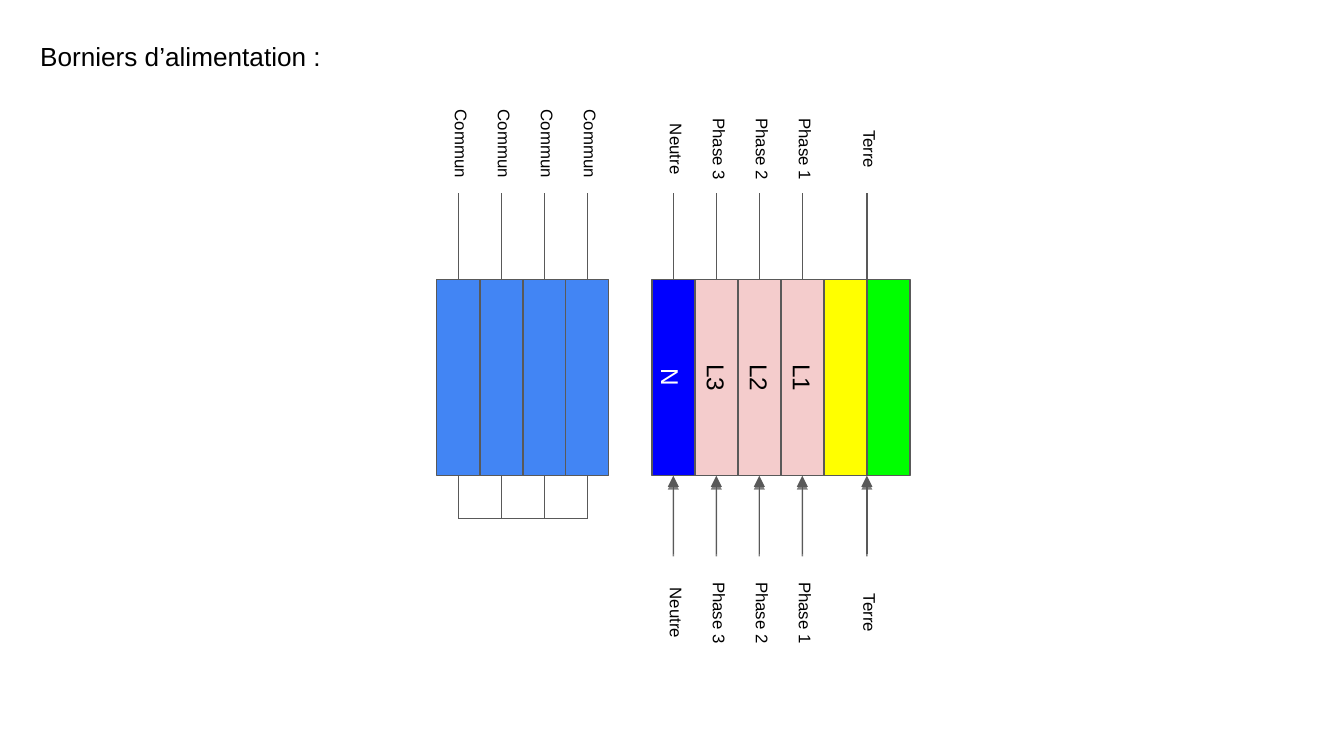
from lxml import etree
from pptx import Presentation
from pptx.dml.color import RGBColor
from pptx.enum import shapes, text
from pptx.oxml import ns
from pptx.util import Inches, Pt

BLACK = RGBColor(0x00, 0x00, 0x00)
WHITE = RGBColor(0xFF, 0xFF, 0xFF)
GREY = RGBColor(0x59, 0x59, 0x59)
COMMON_BLUE = RGBColor(0x42, 0x85, 0xF4)
NEUTRAL_BLUE = RGBColor(0x00, 0x00, 0xFF)
PHASE_PINK = RGBColor(0xF4, 0xCC, 0xCC)
EARTH_YELLOW = RGBColor(0xFF, 0xFF, 0x00)
EARTH_GREEN = RGBColor(0x00, 0xFF, 0x00)

# Terminal geometry, in inches
WIDTH, HEIGHT = 0.32, 1.46
TOP = 2.08
BOTTOM = TOP + HEIGHT
WIRE_TOP = 1.44
BRIDGE_Y = 3.86
ARROW_START = 4.12
COMMON_LEFT, SUPPLY_LEFT = 3.25, 4.85


def add_text(slide, content, left, top, width, height, size, color=BLACK):
    sp = slide.shapes.add_textbox(Inches(left), Inches(top), Inches(width), Inches(height))
    tf = sp.text_frame
    tf.word_wrap = True
    tf.margin_left = tf.margin_right = tf.margin_top = tf.margin_bottom = Inches(0.1)
    p = tf.paragraphs[0]
    p.text = content
    font = p.runs[0].font
    font.name, font.size, font.color.rgb = "Arial", Pt(size), color
    return sp


def add_turned_text(slide, content, x, y, width, height, size, color=BLACK):
    """Text centred on (x, y) that reads downwards."""
    sp = add_text(slide, content, x - width / 2, y - height / 2, width, height, size, color)
    sp.rotation = 90
    sp.text_frame.paragraphs[0].alignment = text.PP_ALIGN.CENTER


def add_label(slide, content, x, y):
    add_turned_text(slide, content, x, y, 0.71, 0.35, 9)


def add_terminal(slide, left, color):
    sp = slide.shapes.add_shape(shapes.MSO_SHAPE.RECTANGLE, Inches(left), Inches(TOP),
                                Inches(WIDTH), Inches(HEIGHT))
    sp.shadow.inherit = False
    sp.fill.solid()
    sp.fill.fore_color.rgb = color
    sp.line.color.rgb = GREY
    sp.line.width = Pt(0.75)


def add_wire(slide, x1, y1, x2, y2, arrow=False):
    line = slide.shapes.add_connector(shapes.MSO_CONNECTOR.STRAIGHT, Inches(x1), Inches(y1),
                                      Inches(x2), Inches(y2))
    line.line.color.rgb = GREY
    line.line.width = Pt(0.75)
    sp_pr = line._element.spPr
    effects = etree.SubElement(sp_pr, ns.qn("a:effectLst"))
    if arrow:
        etree.SubElement(sp_pr.find(ns.qn("a:ln")), ns.qn("a:tailEnd"), type="triangle")
        shadow = etree.SubElement(effects, ns.qn("a:outerShdw"), blurRad="0",
                                  dist=str(Pt(1.5)), dir="5400000", algn="bl", rotWithShape="0")
        shade = etree.SubElement(shadow, ns.qn("a:srgbClr"), val=str(BLACK))
        etree.SubElement(shade, ns.qn("a:alpha"), val="50000")


def add_common_block(slide):
    centres = [COMMON_LEFT + (i + 0.5) * WIDTH for i in range(4)]
    for x in centres:
        add_terminal(slide, x - WIDTH / 2, COMMON_BLUE)
        add_wire(slide, x, TOP, x, WIRE_TOP)
        add_wire(slide, x, BRIDGE_Y, x, BOTTOM)
        add_label(slide, "Commun", x, 1.07)
    # Bridge between the commons
    add_wire(slide, centres[-1], BRIDGE_Y, centres[0], BRIDGE_Y)


def add_supply_wires(slide, name, x):
    add_wire(slide, x, TOP, x, WIRE_TOP)
    add_wire(slide, x, ARROW_START, x, BOTTOM, arrow=True)
    for y in (1.11, 4.56):
        add_label(slide, name, x, y)


def add_supply_block(slide):
    # Neutral and phases: mark, its shift, name, fill, text colour
    poles = [("N", -0.02, "Neutre", NEUTRAL_BLUE, WHITE)]
    poles += [(f"L{n}", 0, f"Phase {n}", PHASE_PINK, BLACK) for n in (3, 2, 1)]
    for i, (mark, shift, name, fill, color) in enumerate(poles):
        left = SUPPLY_LEFT + i * WIDTH
        x = left + WIDTH / 2
        add_terminal(slide, left, fill)
        add_supply_wires(slide, name, x)
        add_turned_text(slide, mark, x + shift, TOP + HEIGHT / 2, 0.67, 0.42, 13, color)

    # Earth: two halves sharing one wire
    earth_left = SUPPLY_LEFT + len(poles) * WIDTH
    add_terminal(slide, earth_left, EARTH_YELLOW)
    add_terminal(slide, earth_left + WIDTH, EARTH_GREEN)
    add_supply_wires(slide, "Terre", earth_left + WIDTH)


def main():
    prs = Presentation()
    # 16:9 slide
    prs.slide_width = Inches(10)
    prs.slide_height = Inches(10 * 9 / 16)
    slide = prs.slides.add_slide(prs.slide_layouts[6])
    add_text(slide, "Borniers d’alimentation :", 0.2, 0.2, 2.29, 0.67, 14)
    add_common_block(slide)
    add_supply_block(slide)
    prs.save("out.pptx")


if __name__ == "__main__":
    main()
